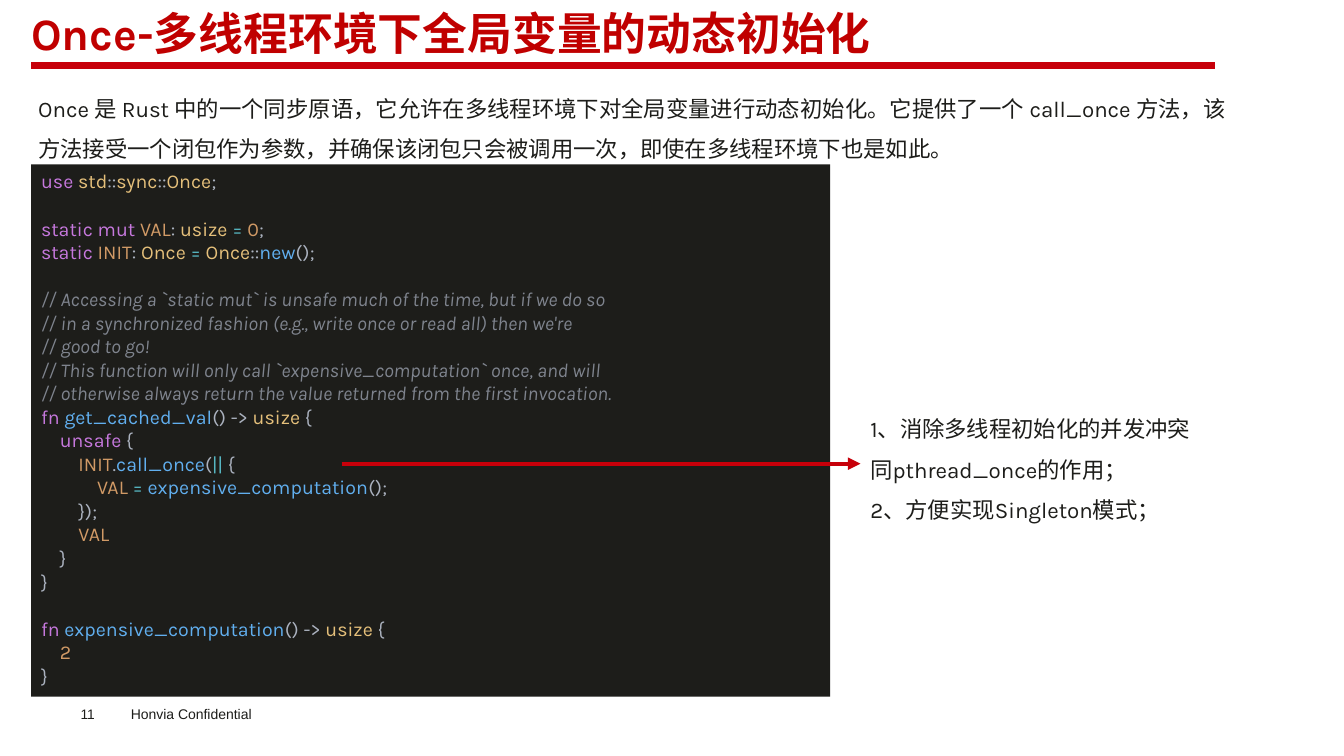
from itertools import groupby

from lxml import etree
from pptx import Presentation
from pptx.dml.color import RGBColor
from pptx.enum.shapes import MSO_CONNECTOR as CONNECTOR, MSO_SHAPE as SHAPE
from pptx.enum.text import MSO_ANCHOR as ANCHOR, PP_ALIGN as ALIGN
from pptx.oxml.ns import qn
from pptx.util import Pt

CODE = """use std::sync::Once;

static mut VAL: usize = 0;
static INIT: Once = Once::new();

// Accessing a `static mut` is unsafe much of the time, but if we do so
// in a synchronized fashion (e.g., write once or read all) then we're
// good to go!
// This function will only call `expensive_computation` once, and will
// otherwise always return the value returned from the first invocation.
fn get_cached_val() -> usize {
    unsafe {
        INIT.call_once(|| {
            VAL = expensive_computation();
        });
        VAL
    }
}

fn expensive_computation() -> usize {
    2
}"""

SYNTAX = {
    "C678DD": "use static mut fn unsafe",
    "E5C07B": "std sync Once usize",
    "D19A66": "VAL INIT 0 2",
    "61AFEF": "new call_once get_cached_val expensive_computation",
    "56B6C2": "= ||",
}
TOKEN_COLOURS = {word: c for c, words in SYNTAX.items() for word in words.split()}
PUNCTUATION, COMMENT = "ABB2BF", "7F848E"


def rgb(value):
    return RGBColor.from_string(value)


def token_class(char):
    if char.isalnum() or char == "_":
        return "word"
    return "operator" if char in "=|" else "punctuation"


class Slide:
    font, ink, panel = "Karla", "1D1D1A", "1D1D1A"
    red, title_red = "C7000A", "C00000"
    code_size, code_line = 14, 16.8

    def __init__(self, prs):
        self.s = prs.slides.add_slide(prs.slide_layouts[6])

    def style(self, p, size, colour, font=None, bold=False):
        p.font.name = font or self.font
        p.font.size = Pt(size)
        p.font.bold = bold
        p.font.color.rgb = rgb(colour)

    def text(self, x, y, w, h, lines, size, colour=None, font=None, bold=False,
             spacing=None, inset=True, align=ALIGN.LEFT):
        tf = self.s.shapes.add_textbox(Pt(x), Pt(y), Pt(w), Pt(h)).text_frame
        tf.word_wrap = True
        if not inset:
            tf.margin_left = tf.margin_right = tf.margin_top = tf.margin_bottom = 0
        for i, line in enumerate(lines):
            p = tf.paragraphs[0] if i == 0 else tf.add_paragraph()
            p.text = line
            p.alignment = align
            if spacing:
                p.line_spacing = spacing
            self.style(p, size, colour or self.ink, font, bold)

    def line(self, x1, x2, y, width, arrow=False):
        sp = self.s.shapes.add_connector(CONNECTOR.STRAIGHT, Pt(x1), Pt(y), Pt(x2), Pt(y))
        sp.line.color.rgb = rgb(self.red)
        sp.line.width = Pt(width)
        if arrow:
            ln = sp.line._get_or_add_ln()
            etree.SubElement(ln, qn("a:tailEnd"), type="triangle")
        etree.SubElement(sp._element.spPr, qn("a:effectLst"))

    def code(self, x, y, w, h, source):
        """Draw a dark panel with syntax-coloured source; empty lines become space before."""
        sp = self.s.shapes.add_shape(SHAPE.RECTANGLE, Pt(x), Pt(y), Pt(w), Pt(h))
        sp.shadow.inherit = False
        sp.fill.solid()
        sp.fill.fore_color.rgb = rgb(self.panel)
        sp.line.fill.background()
        tf = sp.text_frame
        tf.word_wrap = True
        tf.vertical_anchor = ANCHOR.TOP
        for i, block in enumerate(source.split("\n\n")):
            for j, line in enumerate(block.split("\n")):
                p = tf.add_paragraph() if i or j else tf.paragraphs[0]
                p.alignment = ALIGN.LEFT
                if i and j == 0:
                    p.space_before = Pt(self.code_line)
                self.code_line_runs(p, line)

    def code_line_runs(self, p, line):
        if line.startswith("//"):
            p.text = line
            self.style(p, self.code_size, COMMENT)
            p.font.italic = True
            return
        self.style(p, self.code_size, PUNCTUATION)
        for _, chars in groupby(line, token_class):
            r = p.add_run()
            r.text = "".join(chars)
            r.font.color.rgb = rgb(TOKEN_COLOURS.get(r.text, PUNCTUATION))


def main():
    prs = Presentation()
    prs.slide_width, prs.slide_height = Pt(960.48), Pt(540)
    s = Slide(prs)
    left = 22.32

    s.text(86.4, 500.4, 115.2, 19.4, ["Honvia Confidential"], 10, font="Arial")
    s.text(57.6, 504, 39.6, 11.5, ["11"], 9.8, font="Arial", inset=False)

    s.text(left, 7.9, 846, 78.5, ["Once-多线程环境下全局变量的动态初始化"], 32,
           colour=s.title_red, bold=True, spacing=Pt(34.3), inset=False)
    s.line(left, 868.3, 46.8, 4.5)
    s.text(20.2, 54.7, 862.6, 61.9, [
        "Once 是 Rust 中的一个同步原语，它允许在多线程环境下对全局变量进行动态初始化。"
        "它提供了一个 call_once 方法，该方法接受一个闭包作为参数，"
        "并确保该闭包只会被调用一次，即使在多线程环境下也是如此。",
    ], 16, spacing=1.5, align=ALIGN.JUSTIFY)

    s.code(left, 117.4, 571, 380.2, CODE)
    s.line(244.1, 614.9, 331.2, 3, arrow=True)
    s.text(614.9, 283.7, 250.6, 94.3, [
        "1、消除多线程初始化的并发冲突",
        "同pthread_once的作用；",
        "2、方便实现Singleton模式；",
    ], 16, spacing=1.5)

    prs.save("out.pptx")


if __name__ == "__main__":
    main()
